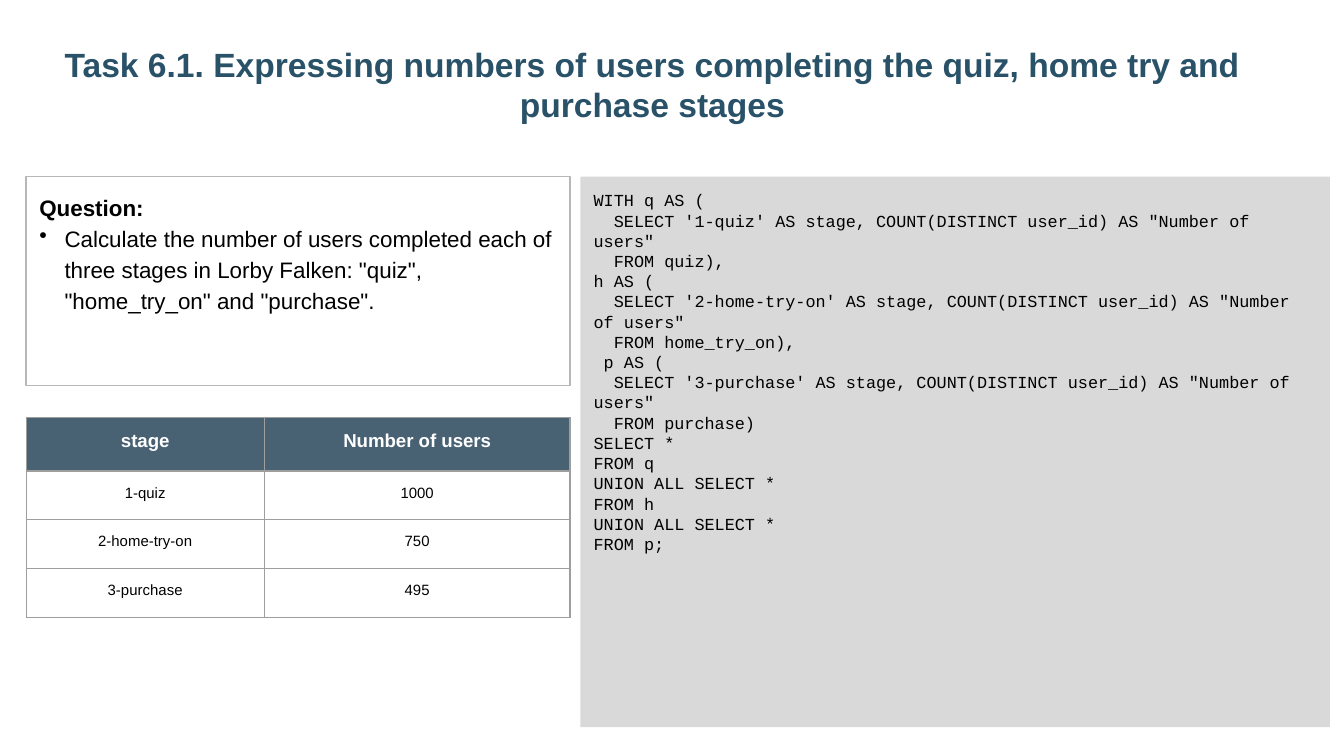
from lxml import etree
from pptx import Presentation
from pptx.dml.color import RGBColor as RGB
from pptx.enum.shapes import MSO_SHAPE as Shape
from pptx.enum.text import MSO_ANCHOR as Anchor, PP_ALIGN as Align
from pptx.oxml.ns import qn
from pptx.util import Pt

COLORS = {
    "title": "295269", "ink": "000000", "white": "FFFFFF", "code": "D9D9D9",
    "frame": "B7B7B7", "header": "204056", "grid": "9E9E9E",
}
INSET = 7.2
QUERY = """WITH q AS (
  SELECT '1-quiz' AS stage, COUNT(DISTINCT user_id) AS "Number of users"
  FROM quiz),
h AS (
  SELECT '2-home-try-on' AS stage, COUNT(DISTINCT user_id) AS "Number of users"
  FROM home_try_on),
 p AS (
  SELECT '3-purchase' AS stage, COUNT(DISTINCT user_id) AS "Number of users"
  FROM purchase)
SELECT *
FROM q
UNION ALL SELECT *
FROM h
UNION ALL SELECT *
FROM p;"""
QUESTION = ("Calculate the number of users completed each of three stages in "
            'Lorby Falken: "quiz", "home_try_on" and "purchase".')
STAGES = [("stage", "Number of users"), ("1-quiz", "1000"),
          ("2-home-try-on", "750"), ("3-purchase", "495")]


def color(name):
    """Return the named colour."""
    return RGB.from_string(COLORS[name])


def add_run(paragraph, text, size, ink="ink", bold=False, font="Arial"):
    """Append one styled run."""
    run = paragraph.add_run()
    run.text = text
    run.font.size, run.font.name, run.font.bold = Pt(size), font, bold
    run.font.color.rgb = color(ink)


def set_insets(holder):
    """Give a text frame or cell equal margins."""
    holder.margin_left = holder.margin_right = Pt(INSET)
    holder.margin_top = holder.margin_bottom = Pt(INSET)


def add_panel(slide, box, fill=None, line=None):
    """Add a rectangle for left, top-aligned text and return its text frame."""
    panel = slide.shapes.add_shape(Shape.RECTANGLE, *map(Pt, box))
    panel.shadow.inherit = False
    if fill:
        panel.fill.solid()
        panel.fill.fore_color.rgb = color(fill)
    else:
        panel.fill.background()
    if line:
        panel.line.color.rgb = color(line)
        panel.line.width = Pt(0.75)
    else:
        panel.line.fill.background()
    frame = panel.text_frame
    frame.word_wrap, frame.vertical_anchor = True, Anchor.TOP
    set_insets(frame)
    return frame


def add_title(slide, box):
    """Add the centred task title."""
    frame = slide.shapes.add_textbox(*map(Pt, box)).text_frame
    frame.word_wrap, frame.vertical_anchor = True, Anchor.BOTTOM
    set_insets(frame)
    heading = frame.paragraphs[0]
    heading.alignment = Align.CENTER
    add_run(heading, "Task 6.1. Expressing numbers of users completing the quiz, "
            "home try and purchase stages", 18, "title", True)


def add_query(slide, box):
    """Add the SQL panel, one paragraph per code line."""
    frame = add_panel(slide, box, fill="code")
    for index, code in enumerate(QUERY.splitlines()):
        line = frame.add_paragraph() if index else frame.paragraphs[0]
        line.alignment = Align.LEFT
        add_run(line, code, 9, font="Courier New")


def add_question(slide, box):
    """Add the framed question with its bullet."""
    frame = add_panel(slide, box, line="frame")
    label, bullet = frame.paragraphs[0], frame.add_paragraph()
    for paragraph in (label, bullet):
        paragraph.alignment, paragraph.line_spacing = Align.LEFT, 1.15
    add_run(label, "Question:", 12, bold=True)
    props = bullet._p.get_or_add_pPr()
    props.set("marL", str(Pt(13.5)))
    props.set("indent", str(-Pt(13.5)))
    tint = etree.SubElement(props, qn("a:buClr"))
    etree.SubElement(tint, qn("a:srgbClr"), val=COLORS["ink"])
    etree.SubElement(props, qn("a:buChar"), char="•")
    add_run(bullet, QUESTION, 12)


def style_cell(cell, is_header):
    """Set the borders and fill of a cell."""
    props = cell._tc.get_or_add_tcPr()
    for side in ("lnL", "lnR", "lnT", "lnB"):
        border = etree.SubElement(props, qn(f"a:{side}"), w=str(Pt(0.75)))
        solid = etree.SubElement(border, qn("a:solidFill"))
        etree.SubElement(solid, qn("a:srgbClr"), val=COLORS["grid"])
    if is_header:
        cell.fill.solid()
        cell.fill.fore_color.rgb = color("header")
        tint = props.find(qn("a:solidFill")).find(qn("a:srgbClr"))
        etree.SubElement(tint, qn("a:alpha"), val="82000")
    else:
        cell.fill.background()


def add_stages(slide, box):
    """Add the table of users per stage."""
    width, height = box[2:]
    header_height, stage_width = 28.8, 127.6
    table = slide.shapes.add_table(len(STAGES), 2, *map(Pt, box)).table
    table.columns[0].width = Pt(stage_width)
    table.columns[1].width = Pt(width - stage_width)
    for r, values in enumerate(STAGES):
        is_header = r == 0
        body_height = (height - header_height) / (len(STAGES) - 1)
        table.rows[r].height = Pt(header_height if is_header else body_height)
        for c, value in enumerate(values):
            cell = table.cell(r, c)
            set_insets(cell)
            style_cell(cell, is_header)
            entry = cell.text_frame.paragraphs[0]
            entry.alignment = Align.CENTER
            add_run(entry, value, 10 if is_header else 8,
                    "white" if is_header else "ink", is_header)


def main():
    """Build and save the slide."""
    deck = Presentation()
    deck.slide_width, deck.slide_height = Pt(720), Pt(405)
    slide = deck.slides.add_slide(deck.slide_layouts[6])
    left, top, width = 14, 94.6, 291.4
    add_title(slide, (left, 5, 671, 69))
    add_query(slide, (311, top, 401.5, 295))
    add_question(slide, (left, top, width, 112))
    add_stages(slide, (left, 223.5, width, 107.4))
    deck.save("out.pptx")


if __name__ == "__main__":
    main()
